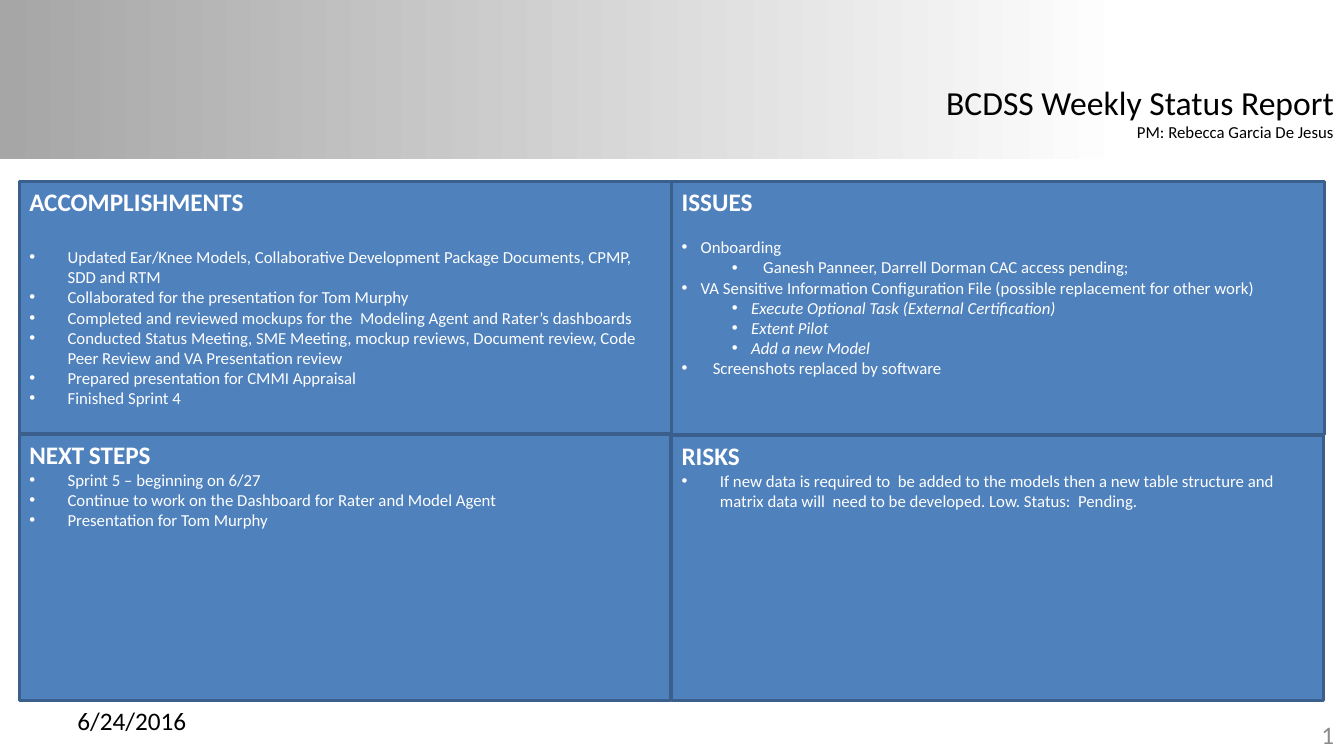
from lxml import etree
from pptx import Presentation
from pptx.dml.color import RGBColor
from pptx.enum import shapes, text
from pptx.oxml import ns
from pptx.util import Inches, Pt

BLACK = RGBColor(0x00, 0x00, 0x00)
WHITE = RGBColor(0xFF, 0xFF, 0xFF)
GRAY = RGBColor(0x8C, 0x8C, 0x8C)
SILVER = RGBColor(0xA6, 0xA6, 0xA6)
BLUE = RGBColor(0x4F, 0x81, 0xBD)
NAVY = RGBColor(0x3A, 0x5F, 0x8C)


def add_run(para, words, size, color, bold=False, italic=False):
    run = para.add_run()
    run.text = words
    font = run.font
    font.name, font.size, font.bold, font.italic = "Calibri", Pt(size), bold, italic
    font.color.rgb = color


def set_bullet(para, margin, hang, mark=None):
    props = para._p.get_or_add_pPr()
    props.set("marL", str(Inches(margin)))
    props.set("indent", str(-Inches(hang)))
    if mark:
        etree.SubElement(props, ns.qn("a:buFont")).set("typeface", "Arial")
        etree.SubElement(props, ns.qn("a:buChar")).set("char", mark)
    else:
        etree.SubElement(props, ns.qn("a:buNone"))


deck = Presentation()
deck.slide_width, deck.slide_height = Inches(13.33), Inches(7.5)
slide = deck.slides.add_slide(deck.slide_layouts.get_by_name("Comparison"))
title = slide.shapes.title

# Header band, behind the title
band = slide.shapes.add_shape(
    shapes.MSO_SHAPE.RECTANGLE, 0, 0, deck.slide_width, Inches(1.58))
band.shadow.inherit = False
band.line.fill.background()
band.fill.gradient()
band.fill.gradient_angle = 0
for stop, (place, color) in zip(band.fill.gradient_stops, [(0, SILVER), (0.84, WHITE)]):
    stop.position = place
    stop.color.rgb = color
title.element.addprevious(band.element)

# Title and project manager
title.left, title.top = Inches(9.25), Inches(0.76)
title.width, title.height = Inches(4.08), Inches(0.71)
frame = title.text_frame
frame.word_wrap = False
frame.auto_size = text.MSO_AUTO_SIZE.SHAPE_TO_FIT_TEXT
frame.vertical_anchor = text.MSO_ANCHOR.TOP
heads = [("BCDSS Weekly Status Report", 24), ("PM: Rebecca Garcia De Jesus", 12)]
for i, (words, size) in enumerate(heads):
    para = frame.add_paragraph() if i else frame.paragraphs[0]
    para.alignment = text.PP_ALIGN.RIGHT
    add_run(para, words, size, BLACK)

# Four panels: box, heading runs, gap below heading in points,
# items as (words, level, margin, hang, italic)
panels = [
    ((0.19, 1.8, 6.47, 2.5), [("ACCOMPLISHMENTS", 18)], 21.5, [
        (words, 0, 0.38, 0.38, False) for words in (
            "Updated Ear/Knee Models, Collaborative Development Package Documents, CPMP, SDD and RTM",
            "Collaborated for the presentation for Tom Murphy",
            "Completed and reviewed mockups for the  Modeling Agent and Rater’s dashboards",
            "Conducted Status Meeting, SME Meeting, mockup reviews, Document review, Code Peer Review and VA Presentation review",
            "Prepared presentation for CMMI Appraisal",
            "Finished Sprint 4")]),
    ((0.19, 4.31, 6.46, 2.64), [("NEXT", 18), (" ", 14), ("STEPS", 18)], 0, [
        (words, 0, 0.38, 0.38, False) for words in (
            "Sprint 5 – beginning on 6/27",
            "Continue to work on the Dashboard for Rater and Model Agent",
            "Presentation for Tom Murphy")]),
    ((6.66, 1.8, 6.48, 2.51), [("ISSUES", 18)], 14.5, [
        ("Onboarding", 0, 0.19, 0.19, False),
        ("Ganesh Panneer, Darrell Dorman CAC access pending;", 1, 0.81, 0.31, False),
        ("VA Sensitive Information Configuration File (possible replacement for other work)",
         0, 0.19, 0.19, False),
        ("Execute Optional Task (External Certification)", 1, 0.69, 0.19, True),
        ("Extent Pilot", 1, 0.69, 0.19, True),
        ("Add a new Model", 1, 0.69, 0.19, True),
        ("Screenshots replaced by software", 0, 0.31, 0.31, False)]),
    ((6.66, 4.32, 6.47, 2.63), [("RISKS", 18)], 0, [
        ("If new data is required to  be added to the models then a new table structure and "
         "matrix data will  need to be developed. Low. Status:  Pending.",
         0, 0.38, 0.38, False)]),
]
bodies = [body for body in slide.placeholders if body.placeholder_format.idx > 0]
for body, (box, head, gap, items) in zip(bodies, panels):
    body.left, body.top, body.width, body.height = [Inches(side) for side in box]
    body.fill.solid()
    body.fill.fore_color.rgb = BLUE
    body.line.color.rgb = NAVY
    body.line.width = Pt(2)
    frame = body.text_frame
    frame.auto_size = text.MSO_AUTO_SIZE.NONE
    frame.vertical_anchor = text.MSO_ANCHOR.TOP
    para = frame.paragraphs[0]
    para.space_before = Pt(0)
    set_bullet(para, 0, 0)
    for words, size in head:
        add_run(para, words, size, WHITE, bold=True)
    for i, (words, level, margin, hang, italic) in enumerate(items):
        para = frame.add_paragraph()
        para.level = level
        para.space_before = Pt(0 if i else gap)
        set_bullet(para, margin, hang, "•")
        add_run(para, words, 12, WHITE, italic=italic)

# Date and slide number
feet = [
    ("6/24/2016", 0.67, 6.95, BLACK, text.PP_ALIGN.LEFT),
    ("1", 10.22, 7.09, GRAY, text.PP_ALIGN.RIGHT),
]
for words, left, top, color, align in feet:
    foot = slide.shapes.add_textbox(Inches(left), Inches(top), Inches(3.11), Inches(0.4))
    frame = foot.text_frame
    frame.word_wrap = True
    frame.vertical_anchor = text.MSO_ANCHOR.MIDDLE
    frame.paragraphs[0].alignment = align
    add_run(frame.paragraphs[0], words, 18, color)

deck.save("out.pptx")
